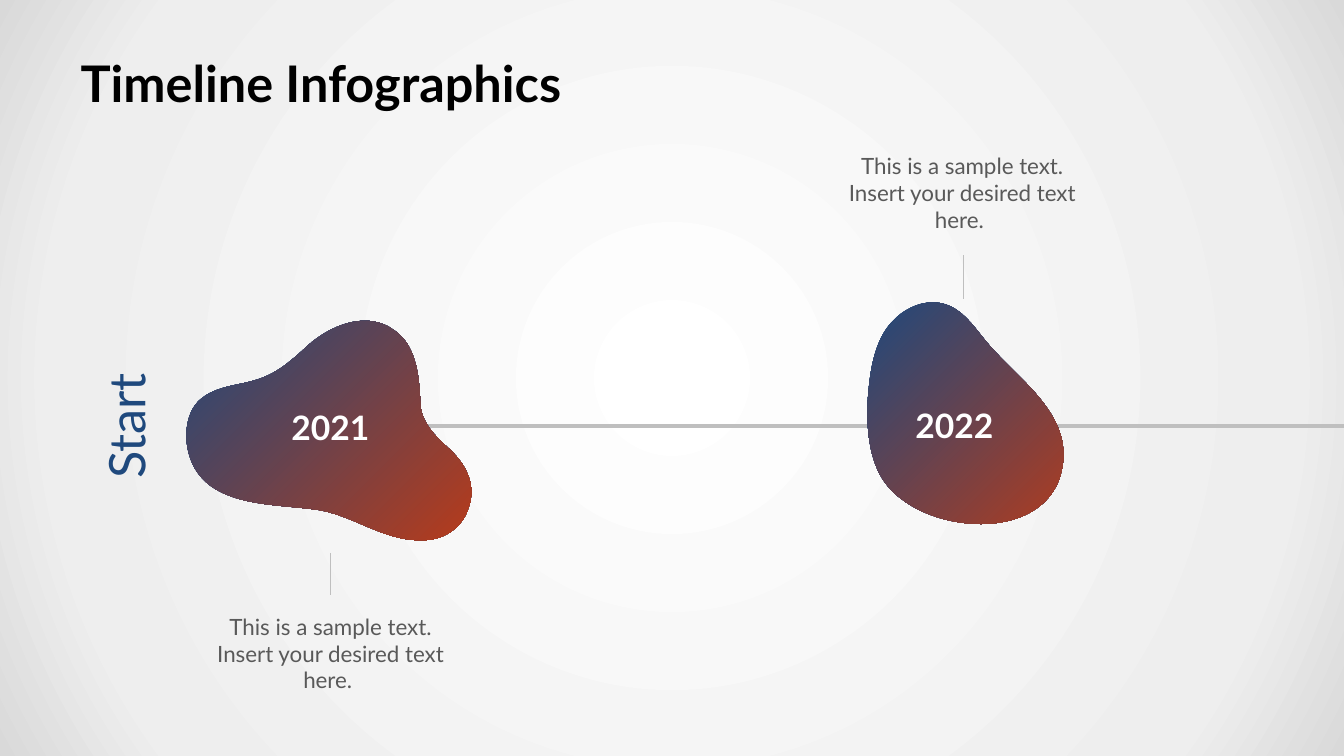
from copy import deepcopy
from lxml import etree
from pptx import Presentation
from pptx.dml.color import RGBColor
from pptx.enum.shapes import MSO_CONNECTOR as Link
from pptx.enum.text import MSO_ANCHOR as Anchor, MSO_AUTO_SIZE as Fit, PP_ALIGN as Align
from pptx.oxml.ns import qn
from pptx.util import Inches, Pt

deck = Presentation()
deck.slide_width, deck.slide_height = Inches(13.33), Inches(7.5)
col, row = deck.slide_width / 100, deck.slide_height / 100  # 100 x 100 grid
slide = deck.slides.add_slide(deck.slide_layouts[6])
shapes = slide.shapes
NAVY, RUST, GREY = "1F497D", "B83B1A", "BFBFBF"


def paint(target, value):
    target.rgb = RGBColor.from_string(value)


def write(text, x, y, w, h, size=16, color="595959", bold=False, align=Align.CENTER,
          wrap=True, fit=Fit.SHAPE_TO_FIT_TEXT, anchor=Anchor.TOP, pad=(0.1, 0.05), turn=0):
    box = shapes.add_textbox(int(x * col), int(y * row), int(w * col), int(h * row))
    box.rotation = turn
    frame = box.text_frame
    frame.word_wrap, frame.auto_size, frame.vertical_anchor = wrap, fit, anchor
    frame.margin_left = frame.margin_right = Inches(pad[0])
    frame.margin_top = frame.margin_bottom = Inches(pad[1])
    par = frame.paragraphs[0]
    par.alignment = align
    run = par.add_run()
    run.text = text
    run.font.name, run.font.size, run.font.bold = "Lato", Pt(size), bold
    paint(run.font.color, color)


# Background: round gradient from the centre
back = slide.background.fill
back.gradient()
grad = slide.background._cSld.find(".//" + qn("a:gradFill"))
stops = grad.find(qn("a:gsLst"))
stops.append(deepcopy(stops[-1]))
for stop, (pos, tone) in zip(back.gradient_stops, [(0, "FFFFFF"), (0.81, "EEEEEE"), (1, "D9D9D9")]):
    stop.position = pos
    paint(stop.color, tone)
ring = etree.Element(qn("a:path"), path="circle")
etree.SubElement(ring, qn("a:fillToRect"), l="50000", t="50000", r="50000", b="50000")
grad.replace(grad.find(qn("a:lin")), ring)

# Blob outlines in hundredths of an inch: start, then two handles and an end per curve
left_blob = [
    (381, 322), (386, 324), (390, 327), (394, 330), (414, 346), (416, 377), (417, 401),
    (418, 419), (431, 432), (444, 444), (461, 459), (473, 480), (465, 503),
    (459, 524), (440, 536), (419, 536), (381, 537), (352, 512), (316, 506),
    (270, 499), (197, 505), (186, 444), (183, 428), (186, 408), (198, 397),
    (215, 382), (237, 383), (257, 376), (275, 370), (289, 358), (303, 345),
    (323, 326), (355, 311), (381, 322)]
right_blob = [
    (925, 300), (949, 300), (962, 319), (975, 335), (1006, 375), (1066, 409), (1053, 467),
    (1036, 543), (907, 530), (874, 473), (861, 451), (859, 418), (861, 393),
    (863, 368), (867, 338), (885, 319), (895, 308), (910, 300), (925, 300)]

# Lines: the axis, then one tick per event
for x1, y1, x2, y2, width in [(24.6, 56.4, 100, 56.4, 3),
                              (24.6, 73.13, 24.6, 78.67, 0.75),
                              (71.68, 33.78, 71.68, 39.5, 0.75)]:
    line = shapes.add_connector(Link.STRAIGHT, int(x1 * col), int(y1 * row),
                                int(x2 * col), int(y2 * row))
    line.line.width = Pt(width)
    paint(line.line.color, GREY)
    etree.SubElement(line._element.spPr, qn("a:effectLst"))

write("Start", 4.52, 51.6, 9.68, 9.47, size=36, color=NAVY, wrap=False, turn=270)

# Events: blob, year and note
for year, knots, year_x, year_y, note_x, note_y in [
        ("2021", left_blob, 20.93, 53.13, 15, 80.4),
        ("2022", right_blob, 67.37, 52.93, 62, 19.47)]:
    pen = shapes.build_freeform(*knots[0], scale=Inches(0.01))
    pen.add_line_segments(knots[1:], close=True)
    blob = pen.convert_to_shape()
    # Join every three points into one curve
    legs = list(blob._element.iter(qn("a:lnTo")))
    for i in range(0, len(knots) - 1, 3):
        curve = etree.Element(qn("a:cubicBezTo"))
        legs[i].addprevious(curve)
        for leg in legs[i:i + 3]:
            curve.append(leg[0])
            leg.getparent().remove(leg)
    blob.shadow.inherit = False
    blob.line.fill.background()
    blob.fill.gradient()
    blob.fill.gradient_angle = 315
    for stop, tone in zip(blob.fill.gradient_stops, (NAVY, RUST)):
        paint(stop.color, tone)
    write(year, year_x, year_y, 7.28, 6.67, size=24, color="FFFFFF", bold=True, wrap=False)
    write("This is a sample text. Insert your desired text here. ",
          note_x, note_y, 19.2, 12.13, pad=(0, 0.05))

# Title
write("Timeline Infographics", 5.03, 5.73, 90, 10.4, size=36, color="000000", bold=True,
      align=Align.LEFT, fit=Fit.NONE, anchor=Anchor.MIDDLE, pad=(0.13, 0.07))

deck.save("out.pptx")
